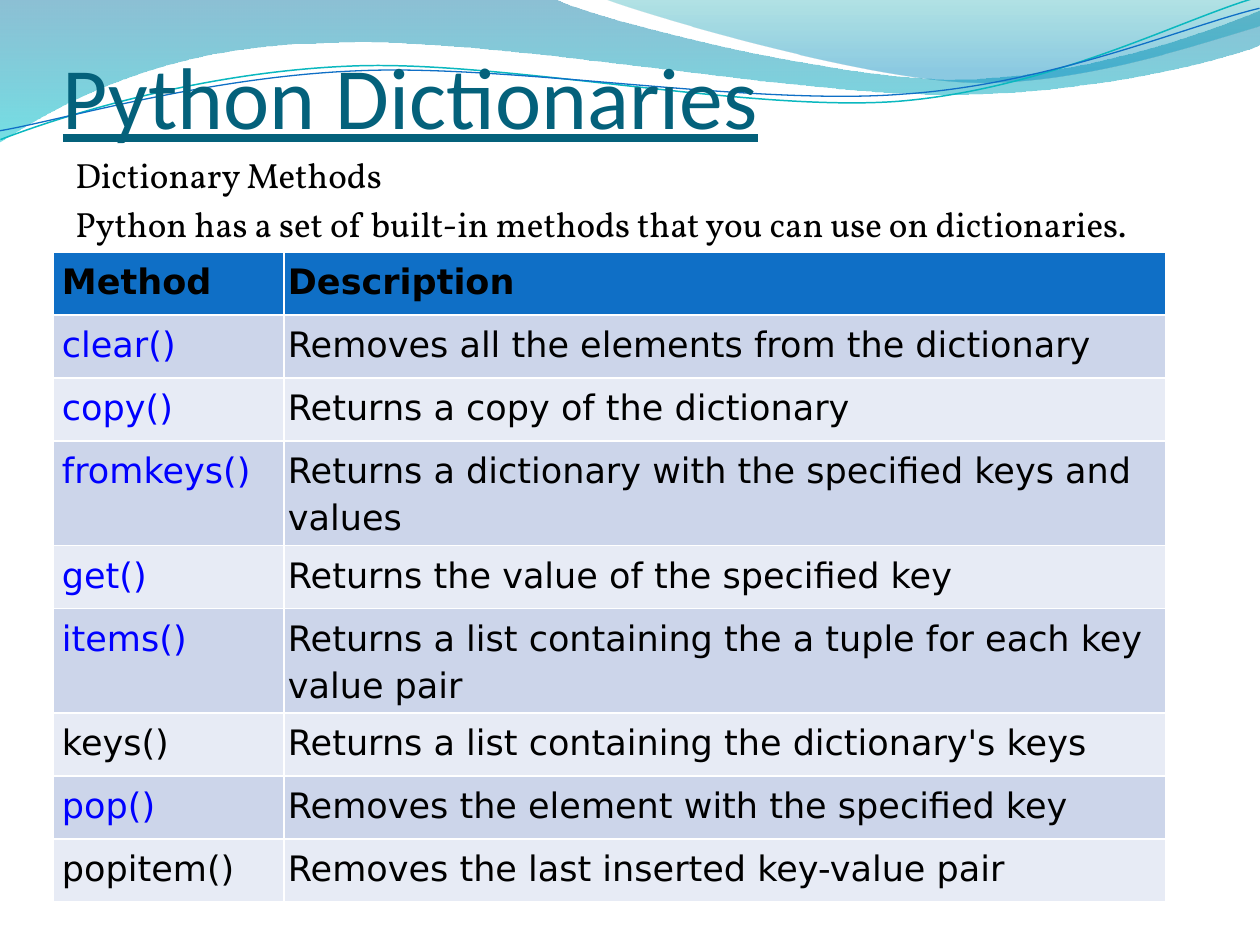
from dataclasses import dataclass

from lxml.etree import SubElement
from pptx import Presentation
from pptx.dml.color import RGBColor
from pptx.enum.text import MSO_ANCHOR
from pptx.oxml.ns import qn
from pptx.util import Emu, Pt


@dataclass(frozen=True)
class Theme:
    title: str = "04617B"
    ink: str = "000000"
    link: str = "0000FF"
    header: str = "0F6FC6"
    bands: tuple = ("CCD5EA", "E7EBF5")
    title_font: str = "Calibri"
    body_font: str = "Vollkorn"
    table_font: str = "DejaVu Sans"
    title_size: int = 50
    text_size: int = 20


THEME = Theme()
PX = 914400 / 126

TITLE = "Python Dictionaries"
INTRO = [
    "Dictionary Methods",
    "Python has a set of built-in methods that you can use on dictionaries.",
]
HEADINGS = ("Method", "Description")
METHODS = [
    ("clear()", "Removes all the elements from the dictionary"),
    ("copy()", "Returns a copy of the dictionary"),
    ("fromkeys()", "Returns a dictionary with the specified keys and values"),
    ("get()", "Returns the value of the specified key"),
    ("items()", "Returns a list containing the a tuple for each key value pair"),
    ("keys()", "Returns a list containing the dictionary's keys"),
    ("pop()", "Removes the element with the specified key"),
    ("popitem()", "Removes the last inserted key-value pair"),
]
UNLINKED = {"keys()", "popitem()"}
COLUMN_WIDTHS = (231, 882)
COLUMN_INSETS = (9, 4)
ROW_HEIGHT = 63
HANGING_INDENT = 38
STRAND_ROTATION = 357.3

RIBBONS = [
    {
        "start": (0, 0),
        "segments": [
            [(554, -1)],
            [(600, 21), (837, 79), (955, 79)],
            [(1074, 79), (1207, 33), (1260, 11)],
            [(1261, 45)],
            [(1239, 55), (1096, 96), (940, 94)],
            [(784, 94), (481, 35), (324, 43)],
            [(163, 45), (58, 105), (-1, 142)],
            [(0, 0)],
        ],
        "stops": [(0, "0074A1", 45), (1, "00C6CF", 55)],
    },
    {
        "start": (604, -1),
        "segments": [
            [(641, 14), (859, 78), (969, 82)],
            [(1079, 86), (1211, 40), (1260, 26)],
            [(1260, 0)],
            [(604, -1)],
        ],
        "stops": [(0, "00A1A9", 30), (0.8, "008BBF", 45)],
    },
]
STRANDS = [
    {
        "start": (-2, 110),
        "segments": [
            [(58, 90), (199, 52), (350, 53)],
            [(499, 53), (745, 118), (896, 114)],
            [(1049, 109), (1184, 45), (1260, 27)],
        ],
        "stroke": ("0AB8BF", 0.85),
    },
    {
        "start": (-2, 101),
        "segments": [
            [(57, 94), (207, 57), (357, 58)],
            [(509, 58), (750, 112), (902, 107)],
            [(1052, 104), (1188, 52), (1262, 38)],
        ],
        "stroke": ("0F6FC6", 0.75),
    },
]


def px(length):
    return Emu(round(length * PX))


def rgb(color):
    return RGBColor.from_string(color)


def add_curve(slide, start, segments, closed):
    builder = slide.shapes.build_freeform(*start, scale=PX)
    builder.add_line_segments([point for segment in segments for point in segment], close=closed)
    curve = builder.convert_to_shape()
    curve.shadow.inherit = False
    steps = iter(list(curve.element.iter(qn("a:lnTo"))))
    for segment in segments:
        parts = [next(steps) for _ in segment]
        if len(parts) == 3:
            bend = parts[0].makeelement(qn("a:cubicBezTo"))
            parts[0].addprevious(bend)
            for part in parts:
                bend.append(part[0])
                part.getparent().remove(part)
    return curve


def add_ribbon(slide, start, segments, stops):
    ribbon = add_curve(slide, start, segments, closed=True)
    ribbon.line.fill.background()
    ribbon.fill.gradient()
    ribbon.fill.gradient_angle = 270
    for stop, (position, color, _) in zip(ribbon.fill.gradient_stops, stops):
        stop.position = position
        stop.color.rgb = rgb(color)
    tints = ribbon.element.spPr.iter(qn("a:srgbClr"))
    for tint, (_, _, opacity) in zip(tints, stops):
        SubElement(tint, qn("a:alpha"), val=str(opacity * 1000))


def add_strand(slide, start, segments, stroke):
    color, width = stroke
    strand = add_curve(slide, start, segments, closed=False)
    strand.rotation = STRAND_ROTATION
    strand.fill.background()
    strand.line.color.rgb = rgb(color)
    strand.line.width = Pt(width)


def style(paragraph, font, size, color, bold=False, underline=False):
    for run in paragraph.runs:
        run.font.name = font
        run.font.size = Pt(size)
        run.font.color.rgb = rgb(color)
        run.font.bold = bold
        run.font.underline = underline


def add_frame(slide, left, top, width, height, text):
    frame = slide.shapes.add_textbox(px(left), px(top), px(width), px(height)).text_frame
    frame.word_wrap = True
    frame.text = text
    return frame


def add_methods(slide):
    rows = [HEADINGS, *METHODS]
    table = slide.shapes.add_table(
        len(rows), len(HEADINGS), px(53), px(252),
        px(sum(COLUMN_WIDTHS)), px(ROW_HEIGHT * len(rows)),
    ).table
    for column, width in zip(table.columns, COLUMN_WIDTHS):
        column.width = px(width)
    for r, entries in enumerate(rows):
        table.rows[r].height = px(ROW_HEIGHT)
        for c, entry in enumerate(entries):
            cell = table.cell(r, c)
            cell.text_frame.text = entry
            cell.margin_left = px(COLUMN_INSETS[c])
            cell.margin_right = cell.margin_top = cell.margin_bottom = px(4)
            cell.fill.solid()
            cell.fill.fore_color.rgb = rgb(THEME.bands[(r - 1) % 2] if r else THEME.header)
            paragraph = cell.text_frame.paragraphs[0]
            paragraph.line_spacing = 1.15
            linked = r > 0 and c == 0 and entry not in UNLINKED
            style(paragraph, THEME.table_font, THEME.text_size,
                  THEME.link if linked else THEME.ink, bold=r == 0)


def main():
    deck = Presentation()
    deck.slide_width, deck.slide_height = px(1260), px(945)
    slide = deck.slides.add_slide(deck.slide_layouts[6])
    for ribbon in RIBBONS:
        add_ribbon(slide, **ribbon)
    for strand in STRANDS:
        add_strand(slide, **strand)

    title = add_frame(slide, 63, 32, 1134, 115, TITLE)
    title.vertical_anchor = MSO_ANCHOR.BOTTOM
    title.margin_left = title.margin_right = title.margin_bottom = 0
    style(title.paragraphs[0], THEME.title_font, THEME.title_size, THEME.title, underline=True)

    intro = add_frame(slide, 63, 147, 1134, 766, "\n".join(INTRO))
    for index, paragraph in enumerate(intro.paragraphs):
        properties = paragraph._p.get_or_add_pPr()
        properties.set("marL", str(px(HANGING_INDENT)))
        properties.set("indent", str(-px(HANGING_INDENT)))
        paragraph.space_before = Pt(4 if index else 0)
        style(paragraph, THEME.body_font, THEME.text_size, THEME.ink)

    add_methods(slide)
    deck.save("out.pptx")


if __name__ == "__main__":
    main()
